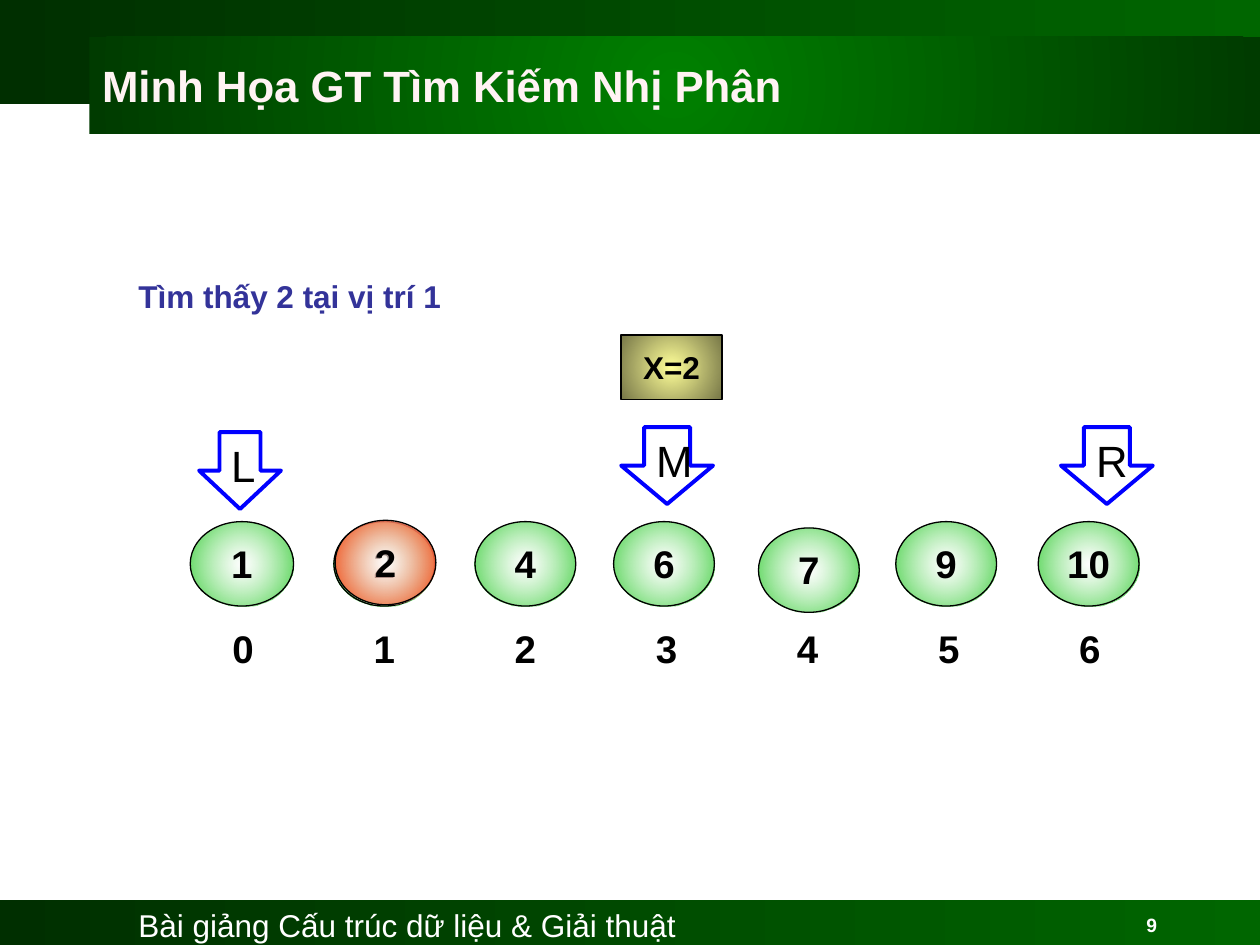
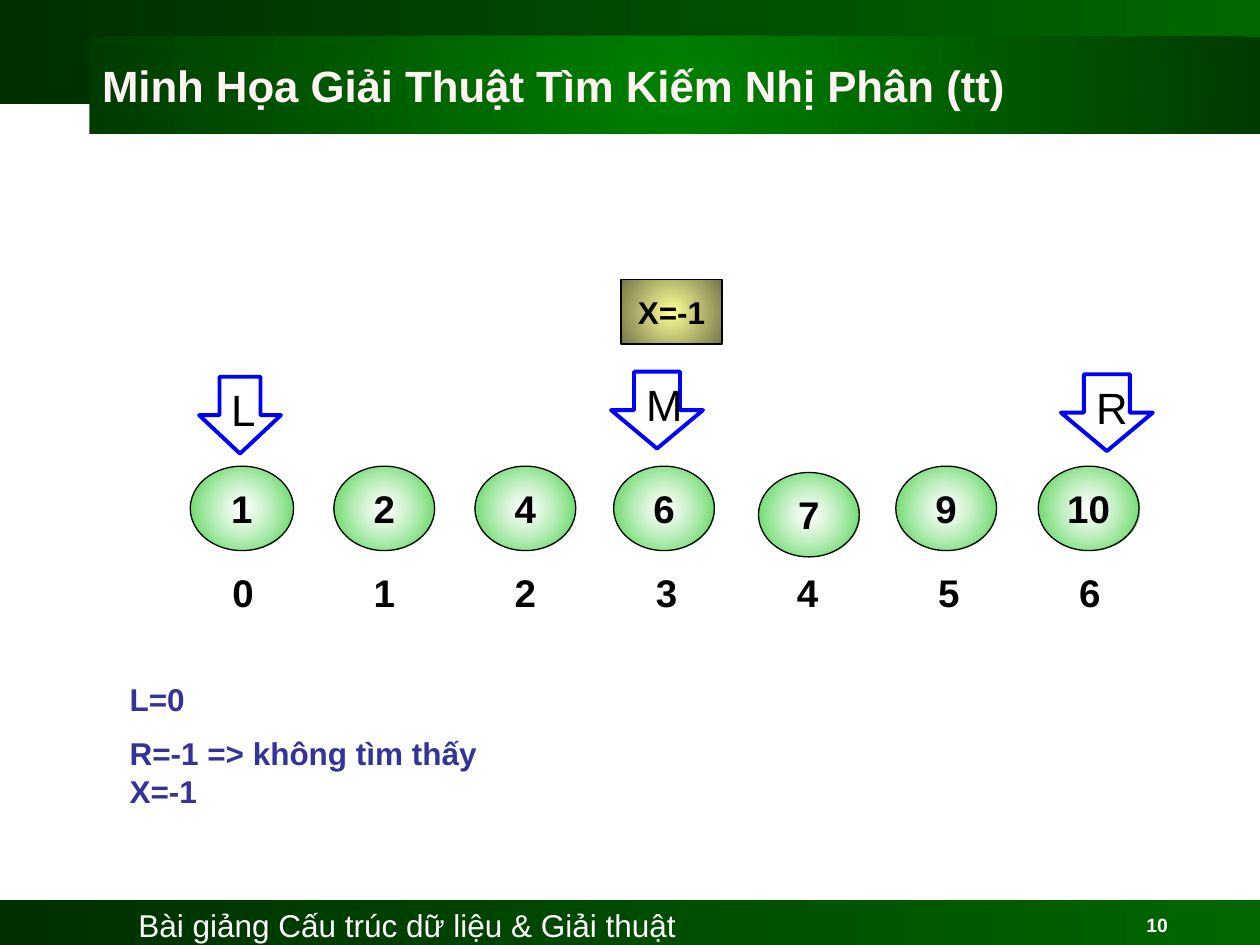
import pptx
import pptx.util
import pptx.dml.color
import pptx.enum.shapes
import pptx.enum.text
import pptx.oxml
import pptx.oxml.ns

Inches = pptx.util.Inches
Shape = pptx.enum.shapes.MSO_SHAPE
Align = pptx.enum.text.PP_ALIGN
Anchor = pptx.enum.text.MSO_ANCHOR

BAND = ("002F00", "006600")
TITLE_FILL = ("008000", "003B00")
KEY_FILL = ("FFFF99", "767647")
NODE_FILL = ("FFFFFF", "33CC33")
FOUND_FILL = ("FFFFFF", "FF3300")
BLACK, WHITE, BLUE, NAVY, TITLE_TEXT = "000000", "FFFFFF", "0000FF", "333399", "FFF3F3"


def write(box, text, size, colour, bold=True, align=Align.LEFT, anchor=Anchor.TOP):
    frame = box.text_frame
    frame.text = text
    frame.word_wrap = True
    frame.auto_size = pptx.enum.text.MSO_AUTO_SIZE.NONE
    frame.vertical_anchor = anchor
    for para in frame.paragraphs:
        para.alignment = align
        for span in para.runs:
            span.font.name = "Arial"
            span.font.size = pptx.util.Pt(size)
            span.font.bold = bold
            span.font.color.rgb = pptx.dml.color.RGBColor.from_string(colour)


def paint(box, colours=None, line=None, width=0.75, radial=True, opacity=100):
    box.shadow.inherit = False
    box.fill.background()
    if line:
        box.line.color.rgb = pptx.dml.color.RGBColor.from_string(line)
        box.line.width = pptx.util.Pt(width)
    else:
        box.line.fill.background()
    if colours:
        direction = '<a:lin ang="0" scaled="1"/>'
        if radial:
            direction = ('<a:path path="circle"><a:fillToRect l="50000" t="50000" '
                         'r="50000" b="50000"/></a:path>')
        gradient = pptx.oxml.parse_xml(
            f'<a:gradFill {pptx.oxml.ns.nsdecls("a")} rotWithShape="1"><a:gsLst>'
            f'<a:gs pos="0"><a:srgbClr val="{colours[0]}"><a:alpha val="{opacity * 1000}"/></a:srgbClr></a:gs>'
            f'<a:gs pos="100000"><a:srgbClr val="{colours[1]}"/></a:gs>'
            f'</a:gsLst>{direction}</a:gradFill>')
        properties = box.element.spPr
        properties.replace(properties.find(pptx.oxml.ns.qn("a:noFill")), gradient)


deck = pptx.Presentation()
deck.slide_width = Inches(10)
deck.slide_height = Inches(7.5)
layout = deck.slide_layouts[5]
for holder in list(layout.placeholders)[1:]:
    holder.element.getparent().remove(holder.element)

VALUES = ["1", "2", "4", "6", "7", "9", "10"]
NODE_LEFTS = [1.51, 2.65, 3.77, 4.87, 6.02, 7.11, 8.24]
NODE_TOP = 4.14
LABEL_LEFT, LABEL_STEP = 1.53, 1.12

slides = [
    {"title": "Minh Họa GT Tìm Kiếm Nhị Phân", "number": "9", "key": "X=2",
     "lift": 0, "found": 1,
     "arrows": [("L", 1.58, 3.43, 0.65), ("M", 4.93, 3.39, 0.73), ("R", 8.42, 3.39, 0.73)],
     "note": "Tìm thấy 2 tại vị trí 1", "note_at": (1, 2.15, 3.11, 0.41)},
    {"title": "Minh Họa Giải Thuật Tìm Kiếm Nhị Phân (tt)", "number": "10", "key": "X=-1",
     "lift": 0.44, "found": None,
     "arrows": [("L", 1.58, 2.99, 0.65), ("M", 4.85, 2.95, 0.73), ("R", 8.42, 2.97, 0.73)],
     "note": "L=0\nR=-1 => không tìm thấy X=-1", "note_at": (0.93, 5.35, 3.42, 1.18)},
]

for slide in slides:
    page = deck.slides.add_slide(layout)
    shapes = page.shapes

    if slide is slides[0]:
        for top, height in [(7.14, 0.36), (0, 0.83)]:
            band = shapes.add_shape(Shape.RECTANGLE, 0, Inches(top), Inches(10), Inches(height))
            paint(band, BAND, radial=False)
            layout.shapes.element.append(band.element)
        footer = shapes.add_textbox(Inches(1), Inches(7.14), Inches(5.02), Inches(0.4))
        write(footer, "Bài giảng Cấu trúc dữ liệu & Giải thuật", 18, WHITE, bold=False)
        layout.shapes.element.append(footer.element)

    title = shapes.title
    title.left, title.top, title.width, title.height = map(Inches, (0.71, 0.29, 9.29, 0.77))
    paint(title, TITLE_FILL)
    write(title, slide["title"], 25, TITLE_TEXT, anchor=Anchor.MIDDLE)

    number = shapes.add_textbox(Inches(9), Inches(7.2), Inches(0.77), Inches(0.29))
    write(number, slide["number"], 11, WHITE)

    node_top = NODE_TOP - slide["lift"]
    nodes = [(value, left, node_top + (0.05 if value == "7" else 0), NODE_FILL)
             for value, left in zip(VALUES, NODE_LEFTS)]
    if slide["found"] is not None:
        found = slide["found"]
        nodes.append((VALUES[found], NODE_LEFTS[found] + 0.01, node_top - 0.01, FOUND_FILL))
    for value, left, top, colours in nodes:
        width = 0.82 if value == "1" else 0.8
        node = shapes.add_shape(Shape.OVAL, Inches(left), Inches(top), Inches(width), Inches(0.67))
        paint(node, colours, BLACK, opacity=60)
        write(node, value, 22, BLACK, align=Align.CENTER)

    labels = shapes.add_group_shape()
    for index in range(len(VALUES)):
        label = labels.shapes.add_shape(
            Shape.OVAL, Inches(LABEL_LEFT + index * LABEL_STEP), Inches(node_top + 0.67),
            Inches(0.8), Inches(0.67))
        paint(label)
        write(label, str(index), 22, BLACK, align=Align.CENTER)

    key = shapes.add_shape(Shape.RECTANGLE, Inches(4.93), Inches(2.66 - slide["lift"]),
                           Inches(0.8), Inches(0.51))
    paint(key, KEY_FILL, BLACK)
    write(key, slide["key"], 18, BLACK, align=Align.CENTER, anchor=Anchor.MIDDLE)

    for letter, left, top, width in slide["arrows"]:
        arrow = shapes.add_shape(Shape.DOWN_ARROW, Inches(left), Inches(top),
                                 Inches(width), Inches(0.61))
        paint(arrow, line=BLUE, width=2.25)
        write(arrow, letter, 25, BLACK, bold=False)

    note = shapes.add_textbox(*map(Inches, slide["note_at"]))
    write(note, slide["note"], 18, NAVY)
    for para in note.text_frame.paragraphs[1:]:
        para.space_before = pptx.util.Pt(9)

deck.save("out.pptx")
